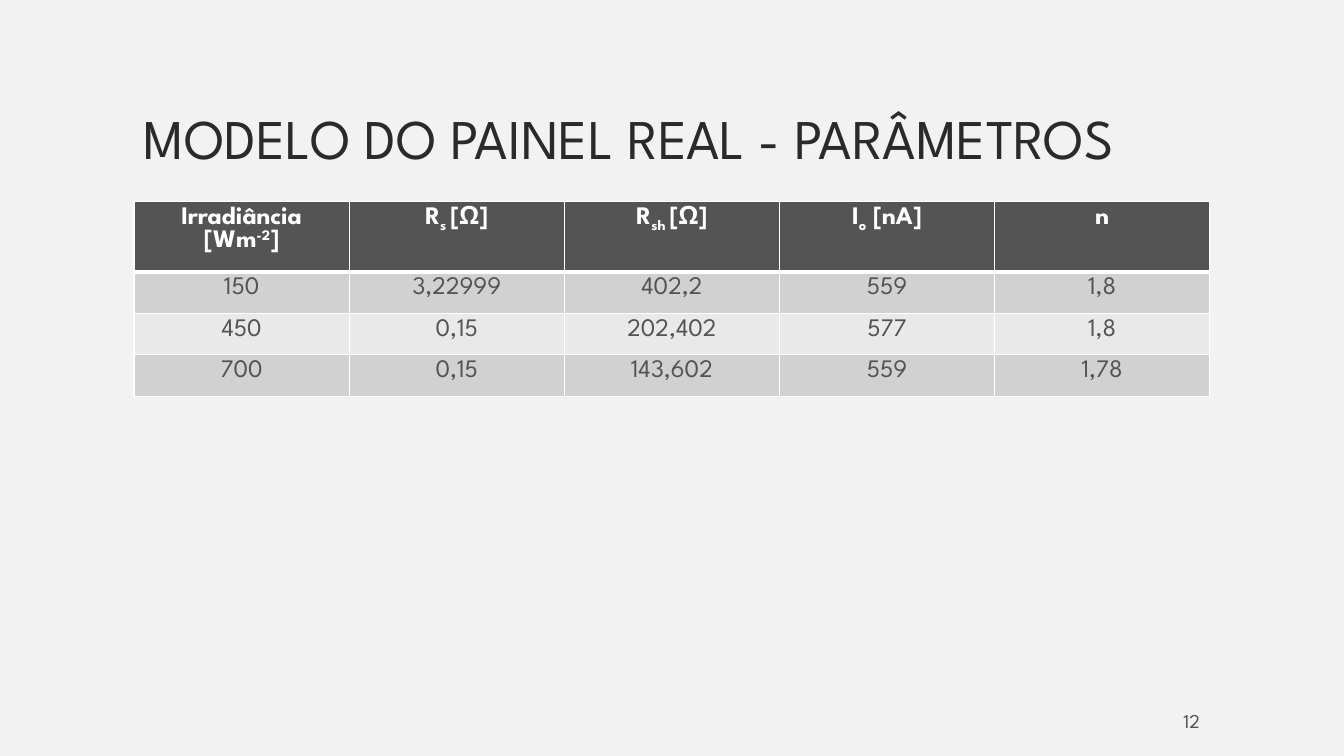
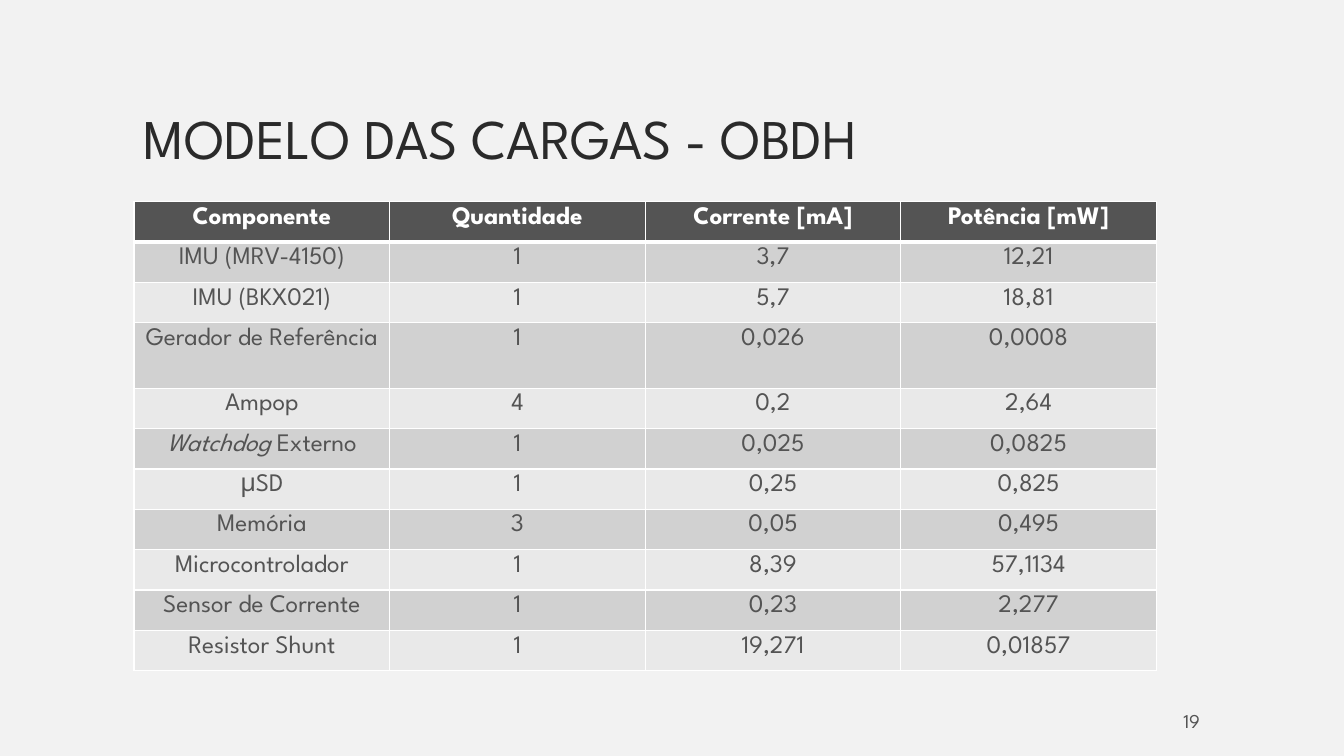
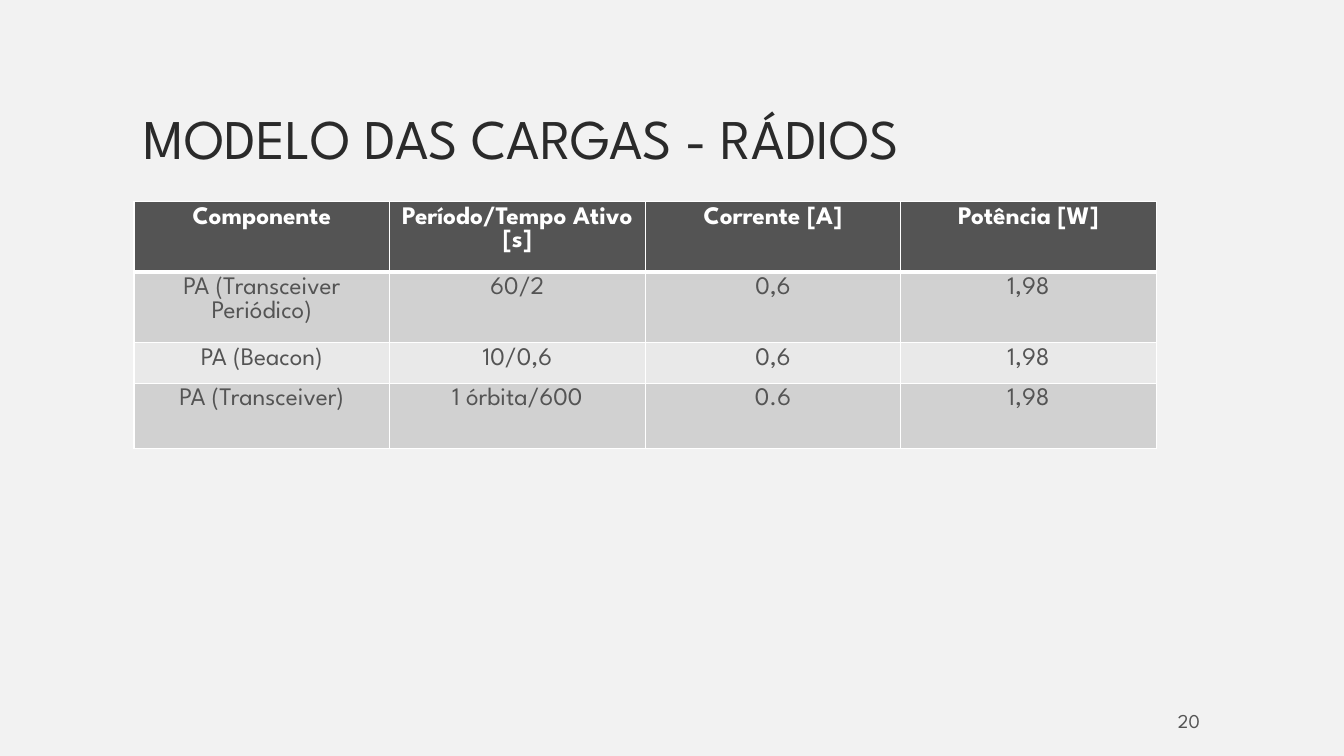
from lxml import etree
from pptx import Presentation
from pptx.dml.color import RGBColor
from pptx.enum import text as te
from pptx.oxml import ns
from pptx.util import Inches, Pt

BACKGROUND = RGBColor(0xF2, 0xF2, 0xF2)
TITLE_INK = RGBColor(0x2A, 0x2A, 0x2A)
GREY = RGBColor(0x54, 0x54, 0x54)
BAND_DARK = RGBColor(0xD1, 0xD1, 0xD1)
BAND_LIGHT = RGBColor(0xE9, 0xE9, 0xE9)
WHITE = RGBColor(0xFF, 0xFF, 0xFF)
FONT = "League Spartan"
LEFT = 1.33

LOADS_WIDTH = 10.14
LOADS_ROW = 0.38
LOADS_TALL_ROW = 0.65


def sub(text):
    return text, {"baseline": -25}


def write(frame, content, size=18, color=GREY, bold=False,
          align=te.PP_ALIGN.LEFT, spacing=None):
    """Fill a text frame with a string, or a list of strings and (string, format) runs."""
    frame.word_wrap = True
    paragraph = frame.paragraphs[0]
    paragraph.alignment = align
    if spacing:
        paragraph.line_spacing = spacing
    for part in [content] if isinstance(content, str) else content:
        words, style = (part, {}) if isinstance(part, str) else part
        run = paragraph.add_run()
        run.text = words
        font = run.font
        font.name, font.size, font.bold = FONT, Pt(size), bold
        font.color.rgb = color
        if style.get("italic"):
            font.italic = True
        if "baseline" in style:
            font._element.set("baseline", str(style["baseline"] * 1000))


def set_borders(cell, top, bottom):
    """Draw white cell borders; top and bottom are widths in points."""
    properties = cell._tc.get_or_add_tcPr()
    widths = {"a:lnL": 1, "a:lnR": 1, "a:lnT": top, "a:lnB": bottom}
    for place, (tag, width) in enumerate(widths.items()):
        line = etree.Element(ns.qn(tag), w=str(Pt(width)))
        fill = etree.SubElement(line, ns.qn("a:solidFill"))
        etree.SubElement(fill, ns.qn("a:srgbClr"), val=str(WHITE))
        properties.insert(place, line)


class Deck:
    def __init__(self):
        self.prs = Presentation()
        self.prs.slide_width, self.prs.slide_height = Inches(13.33), Inches(7.5)
        fill = self.prs.slide_master.background.fill
        fill.solid()
        fill.fore_color.rgb = BACKGROUND
        self.slide = None

    def add_slide(self, title, number):
        self.slide = self.prs.slides.add_slide(self.prs.slide_layouts[6])
        self.text(title, LEFT, 0.3, 10.67, 1.45, anchor=te.MSO_ANCHOR.BOTTOM,
                  size=40, color=TITLE_INK, spacing=0.9)
        self.text(str(number), 10.75, 7.05, 1.25, 0.2, anchor=te.MSO_ANCHOR.MIDDLE,
                  size=14, align=te.PP_ALIGN.RIGHT)

    def text(self, content, left, top, width, height, anchor, **style):
        box = self.slide.shapes.add_textbox(
            Inches(left), Inches(top), Inches(width), Inches(height))
        box.text_frame.vertical_anchor = anchor
        write(box.text_frame, content, **style)

    def table(self, rows, width, heights):
        """Add a table with a dark header, banded rows and equal columns."""
        columns = len(rows[0])
        table = self.slide.shapes.add_table(
            len(rows), columns, Inches(LEFT), Inches(2),
            Inches(width), Inches(sum(heights))).table
        table.horz_banding = False
        for column in table.columns:
            column.width = Inches(width / columns)
        for r, (contents, height) in enumerate(zip(rows, heights)):
            table.rows[r].height = Inches(height)
            header = r == 0
            band = GREY if header else BAND_DARK if r % 2 else BAND_LIGHT
            for c, content in enumerate(contents):
                cell = table.cell(r, c)
                cell.fill.solid()
                cell.fill.fore_color.rgb = band
                set_borders(cell, top=3 if r == 1 else 1, bottom=3 if header else 1)
                write(cell.text_frame, content, bold=header,
                      color=WHITE if header else GREY, align=te.PP_ALIGN.CENTER)


def main():
    deck = Deck()

    deck.add_slide("MODELO DO PAINEL REAL - PARÂMETROS", 12)
    panel = [
        (["Irradiância [Wm", ("-2", {"baseline": 30}), "]"], ["R", sub("s "), "[Ω]"],
         ["R", sub("sh "), "[Ω]"], ["I", sub("o"), " [nA]"], "n"),
        ("150", "3,22999", "402,2", "559", "1,8"),
        ("450", "0,15", "202,402", "577", "1,8"),
        ("700", "0,15", "143,602", "559", "1,78"),
    ]
    deck.table(panel, 10.67, [0.41] * len(panel))

    deck.add_slide("MODELO DAS CARGAS - OBDH", 19)
    computer = [
        ("Componente", "Quantidade", "Corrente [mA]", "Potência [mW]"),
        ("IMU (MRV-4150)", "1", "3,7", "12,21"),
        ("IMU (BKX021)", "1", "5,7", "18,81"),
        ("Gerador de Referência", "1", "0,026", "0,0008"),
        ("Ampop", "4", "0,2", "2,64"),
        ([("Watchdog", {"italic": True}), " Externo"], "1", "0,025", "0,0825"),
        ("μSD", "1", "0,25", "0,825"),
        ("Memória", "3", "0,05", "0,495"),
        ("Microcontrolador", "1", "8,39", "57,1134"),
        ("Sensor de Corrente", "1", "0,23", "2,277"),
        ("Resistor Shunt", "1", "19,271", "0,01857"),
    ]
    heights = [LOADS_ROW] * len(computer)
    heights[3] = LOADS_TALL_ROW
    deck.table(computer, LOADS_WIDTH, heights)

    deck.add_slide("MODELO DAS CARGAS - RÁDIOS", 20)
    radios = [
        ("Componente", "Período/Tempo Ativo [s]", "Corrente [A]", "Potência [W]"),
        ("PA (Transceiver Periódico)", "60/2", "0,6", "1,98"),
        ("PA (Beacon)", "10/0,6", "0,6", "1,98"),
        ("PA (Transceiver)", "1 órbita/600", "0.6", "1,98"),
    ]
    deck.table(radios, LOADS_WIDTH, [LOADS_ROW] * 3 + [LOADS_TALL_ROW])

    deck.prs.save("out.pptx")


if __name__ == "__main__":
    main()
